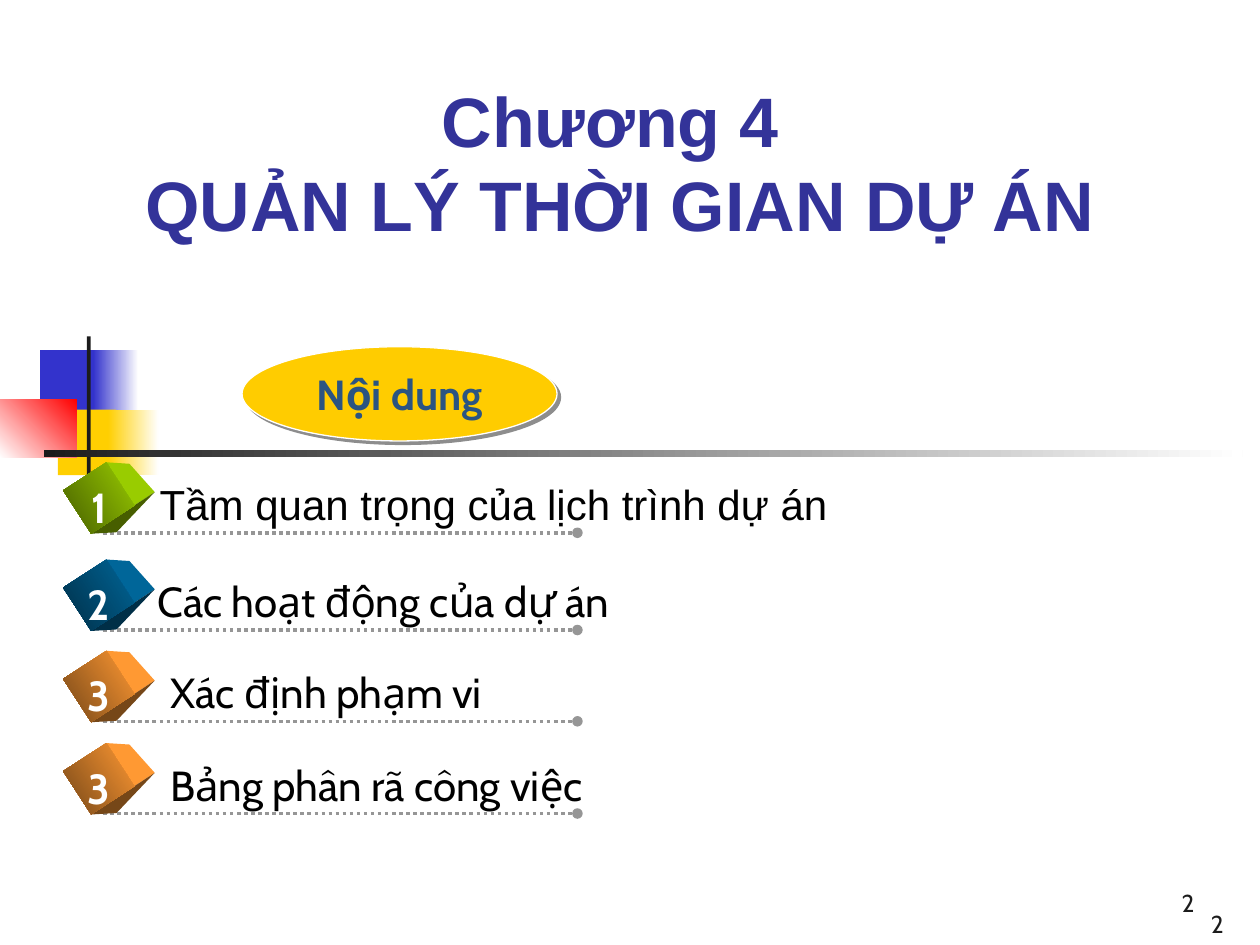
"""Build the opening slide of chapter 4, with its title and list of contents."""
from lxml import etree
from pptx import Presentation
from pptx.dml.color import RGBColor
from pptx.enum.dml import MSO_LINE
from pptx.enum.shapes import MSO_CONNECTOR, MSO_SHAPE
from pptx.enum.text import MSO_ANCHOR, PP_ALIGN
from pptx.oxml import parse_xml
from pptx.oxml.ns import qn
from pptx.util import Cm, Pt

RECTANGLE, OVAL = MSO_SHAPE.RECTANGLE, MSO_SHAPE.OVAL
STRAIGHT, DOTTED = MSO_CONNECTOR.STRAIGHT, MSO_LINE.ROUND_DOT
LEFT, CENTER, RIGHT = PP_ALIGN.LEFT, PP_ALIGN.CENTER, PP_ALIGN.RIGHT
TOP, MIDDLE, BOTTOM = MSO_ANCHOR.TOP, MSO_ANCHOR.MIDDLE, MSO_ANCHOR.BOTTOM

WHITE = RGBColor(0xFF, 0xFF, 0xFF)
BLACK = RGBColor(0x00, 0x00, 0x00)
INK = RGBColor(0x1C, 0x1C, 0x1C)
GRAY = RGBColor(0x96, 0x96, 0x96)
BLUE = RGBColor(0x33, 0x33, 0xCC)
YELLOW = RGBColor(0xFF, 0xCF, 0x01)
RED = RGBColor(0xFF, 0x00, 0x00)
TITLE_BLUE = RGBColor(0x33, 0x33, 0x99)
GOLD = RGBColor(0xFF, 0xCC, 0x00)
STEEL = RGBColor(0x2B, 0x54, 0x81)
GREEN = RGBColor(0x99, 0xCC, 0x00)
DARK_GREEN = RGBColor(0x47, 0x5E, 0x00)
TEAL = RGBColor(0x00, 0x66, 0x99)
DARK_TEAL = RGBColor(0x00, 0x2F, 0x47)
ORANGE = RGBColor(0xFF, 0x99, 0x33)
BROWN = RGBColor(0x76, 0x47, 0x18)

SHADOW = (
    '<a:effectLst xmlns:a="http://schemas.openxmlformats.org/drawingml/2006/main">'
    '<a:outerShdw dist="35921" dir="2700000" algn="ctr" rotWithShape="0">'
    '<a:srgbClr val="1C1C1C"><a:alpha val="50000"/></a:srgbClr>'
    "</a:outerShdw></a:effectLst>"
)

prs = Presentation()
prs.slide_width, prs.slide_height = Cm(25.4), Cm(19.05)
slide = prs.slides.add_slide(prs.slide_layouts[5])
shapes = slide.shapes


def write(holder, text, size=24, font="Cabin", color=BLACK, bold=False,
          align=LEFT, anchor=TOP, wrap=False):
    frame = holder.text_frame
    frame.text = text
    frame.word_wrap = wrap
    frame.vertical_anchor = anchor
    paragraph = frame.paragraphs[0]
    paragraph.alignment = align
    paragraph.font.size = Pt(size)
    paragraph.font.name = font
    paragraph.font.bold = bold
    paragraph.font.color.rgb = color


def add_block(left, top, width, height, start, end=None, angle=0):
    block = shapes.add_shape(RECTANGLE, Cm(left), Cm(top), Cm(width), Cm(height))
    block.shadow.inherit = False
    block.line.fill.background()
    if end is None:
        block.fill.solid()
        block.fill.fore_color.rgb = start
    else:
        block.fill.gradient()
        block.fill.gradient_angle = angle
        for stop, color in zip(block.fill.gradient_stops, (start, end)):
            stop.color.rgb = color
    return block


add_block(0.81, 7.06, 1.22, 1.32, BLUE)
add_block(1.88, 7.06, 0.91, 1.32, BLUE, WHITE)
add_block(1.17, 8.26, 1.17, 1.32, YELLOW)
add_block(2.18, 8.26, 1.02, 1.32, YELLOW, WHITE)
add_block(0, 8.05, 1.55, 1.17, WHITE, RED, 45)
add_block(1.75, 6.78, 0.08, 2.92, INK)
add_block(0.89, 9.07, 24.16, 0.15, INK, WHITE)

title = shapes.title
title.left, title.top, title.width, title.height = Cm(1.07), Cm(1.7), Cm(22.86), Cm(3.38)
write(title, "Chương 4 \vQUẢN LÝ THỜI GIAN DỰ ÁN", size=40, font="Arial",
      color=TITLE_BLUE, bold=True, align=CENTER, anchor=BOTTOM, wrap=True)

topics = [
    (10.74, "1", "Tầm quan trọng của lịch trình dự án", "Arial", 2.97, 14.35, GREEN, DARK_GREEN),
    (12.7, "2", "Các hoạt động của dự án", "Cabin", 2.92, 10.29, TEAL, DARK_TEAL),
    (14.54, "3", "Xác định phạm vi", "Cabin", 3.18, 7.04, ORANGE, BROWN),
    (16.4, "3", "Bảng phân rã công việc", "Cabin", 3.18, 9.4, ORANGE, BROWN),
]
right_face = [(0.15, -0.72), (0.62, -0.69), (1.13, -0.12), (0.72, 0.15)]
bottom_face = [(-0.15, 0.72), (0.72, 0.15), (1.13, -0.12), (0.36, 0.69)]
cube_x, cube_side = 1.99, 1.04

for baseline, number, topic, font, left, width, bright, dark in topics:
    rule = shapes.add_connector(STRAIGHT, Cm(2.08), Cm(baseline), Cm(11.64), Cm(baseline))
    rule.line.color.rgb = GRAY
    rule.line.width = Pt(2)
    rule.line.dash_style = DOTTED
    etree.SubElement(rule.line._get_or_add_ln(), qn("a:tailEnd"), type="oval")
    etree.SubElement(rule._element.spPr, qn("a:effectLst"))

    cube_y = baseline - 0.7
    for face, color in ((right_face, bright), (bottom_face, dark)):
        corners = [(Cm(cube_x + dx), Cm(cube_y + dy)) for dx, dy in face]
        outline = shapes.build_freeform(*corners[0])
        outline.add_line_segments(corners[1:])
        side = outline.convert_to_shape()
        side.shadow.inherit = False
        side.fill.solid()
        side.fill.fore_color.rgb = color
        side.line.fill.background()
    front = add_block(cube_x - cube_side / 2, cube_y - cube_side / 2,
                      cube_side, cube_side, bright, dark, 270)
    front.rotation = 57

    label = shapes.add_textbox(Cm(left), Cm(baseline - 1.22), Cm(width), Cm(1.3))
    write(label, topic, font=font)
    digit = shapes.add_textbox(Cm(1.5), Cm(baseline - 1.16), Cm(0.99), Cm(1.27))
    write(digit, number, color=WHITE, bold=True, align=CENTER)

contents = shapes.add_shape(OVAL, Cm(4.88), Cm(6.99), Cm(6.35), Cm(1.9))
contents.fill.solid()
contents.fill.fore_color.rgb = GOLD
contents.line.color.rgb = WHITE
contents.line.width = Pt(0.75)
contents._element.spPr.append(parse_xml(SHADOW))
write(contents, "Nội dung", color=STEEL, bold=True, align=CENTER, anchor=MIDDLE)

page_number = shapes.add_textbox(Cm(19.05), Cm(17.35), Cm(5.28), Cm(1.27))
write(page_number, "2", size=14, color=INK, align=RIGHT, anchor=BOTTOM, wrap=True)
corner_number = shapes.add_textbox(Cm(24.16), Cm(18.21), Cm(1.24), Cm(0.84))
write(corner_number, "2", size=14, color=INK)

prs.save("out.pptx")
